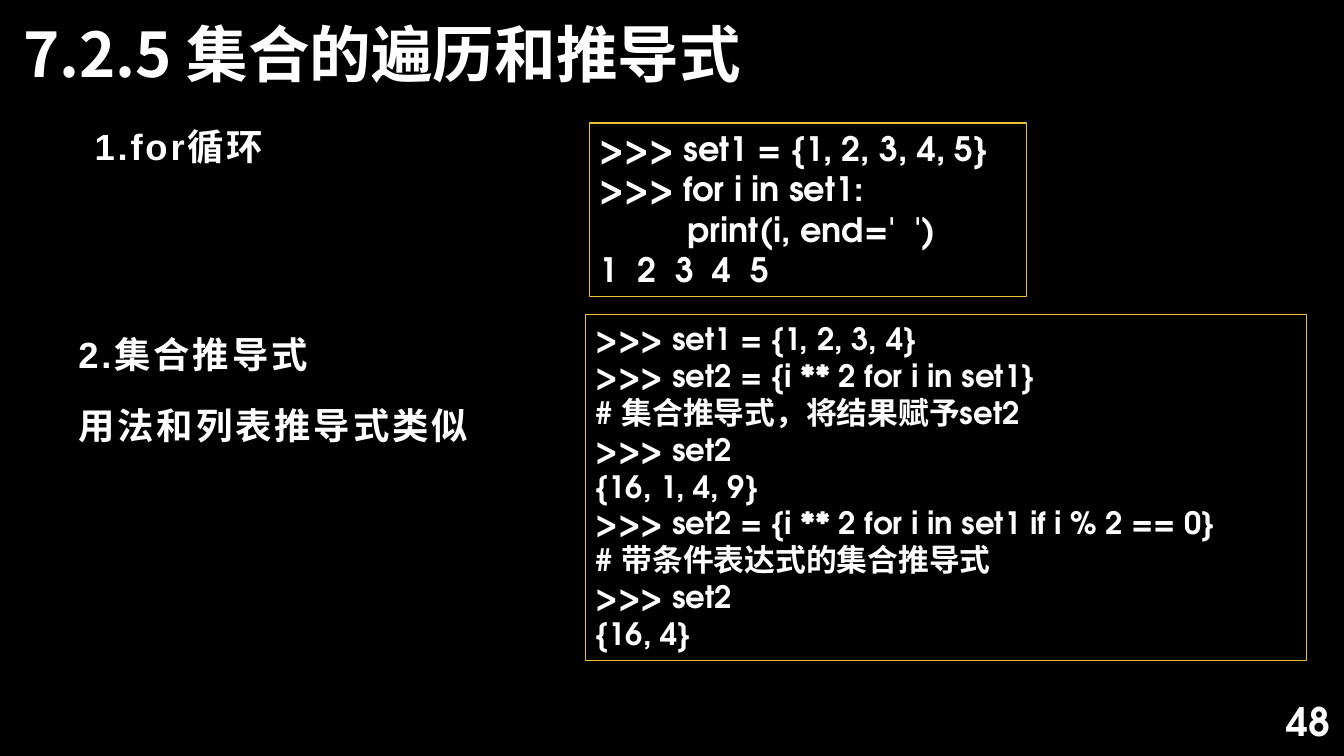
from dataclasses import dataclass

from lxml import etree
from pptx import Presentation
from pptx.dml.color import RGBColor
from pptx.enum import shapes, text
from pptx.oxml import ns
from pptx.util import Inches, Pt

COLORS = {"background": "000000", "text": "FFFFFF", "border": "E9BF35"}
HEADING_FONT = "Noto Sans CJK SC"
BODY_FONT = "Arial"
CODE_FONT = "TeX Gyre Adventor"


@dataclass(frozen=True)
class TextBlock:
    left: float
    top: float
    width: float
    height: float
    lines: tuple[str, ...]
    size: float
    font: str
    spacing: float = 1.0
    space_after: float = 0
    tracking: float = 0
    anchor: text.MSO_ANCHOR = text.MSO_ANCHOR.TOP
    align: text.PP_ALIGN = text.PP_ALIGN.LEFT


TITLE = TextBlock(0.13, 0.13, 9.43, 0.88, ("7.2.5 集合的遍历和推导式",), 44, HEADING_FONT,
                  spacing=0.9, anchor=text.MSO_ANCHOR.MIDDLE)

LABELS = (
    TextBlock(0.84, 1.23, 4.8, 1.18, ("1.for循环",), 26, BODY_FONT, spacing=0.9, tracking=2),
    TextBlock(0.68, 3.12, 4.8, 1.5, ("2.集合推导式", "用法和列表推导式类似"), 26, BODY_FONT,
              spacing=1.3, space_after=10, tracking=2),
    TextBlock(10.29, 6.95, 3, 0.4, ("48",), 28, CODE_FONT,
              anchor=text.MSO_ANCHOR.MIDDLE, align=text.PP_ALIGN.RIGHT),
)

CODE_BOXES = (
    TextBlock(5.85, 1.22, 4.33, 1.72, (
        ">>> set1 = {1, 2, 3, 4, 5}",
        ">>> for i in set1:",
        "\t    print(i, end='  ')",
        "1  2  3  4  5",
    ), 24, CODE_FONT),
    TextBlock(5.81, 3.12, 7.15, 3.43, (
        ">>> set1 = {1, 2, 3, 4}",
        ">>> set2 = {i ** 2 for i in set1}",
        "# 集合推导式，将结果赋予set2",
        ">>> set2",
        "{16, 1, 4, 9}",
        ">>> set2 = {i ** 2 for i in set1 if i % 2 == 0}",
        "# 带条件表达式的集合推导式",
        ">>> set2",
        "{16, 4}",
    ), 22, CODE_FONT),
)


def color(name: str) -> RGBColor:
    return RGBColor.from_string(COLORS[name])


def bounds(block: TextBlock) -> tuple:
    return tuple(Inches(value) for value in (block.left, block.top, block.width, block.height))


def write_text(shape, block: TextBlock) -> None:
    frame = shape.text_frame
    frame.text = "\n".join(block.lines)
    frame.word_wrap = True
    frame.auto_size = text.MSO_AUTO_SIZE.NONE
    frame.vertical_anchor = block.anchor
    for paragraph in frame.paragraphs:
        paragraph.alignment = block.align
        paragraph.line_spacing = block.spacing
        paragraph.space_before = Pt(0)
        paragraph.space_after = Pt(block.space_after)
        font = paragraph.font
        font.size = Pt(block.size)
        font.bold = True
        font.color.rgb = color("text")
        font.name = block.font
        properties = paragraph._p.pPr.find(ns.qn("a:defRPr"))
        etree.SubElement(properties, ns.qn("a:ea")).set("typeface", HEADING_FONT)
        if block.tracking:
            properties.set("spc", str(int(block.tracking * 100)))


def add_title(slide, block: TextBlock) -> None:
    title = slide.shapes.title
    title.left, title.top, title.width, title.height = bounds(block)
    write_text(title, block)


def add_label(slide, block: TextBlock) -> None:
    write_text(slide.shapes.add_textbox(*bounds(block)), block)


def add_code_box(slide, block: TextBlock) -> None:
    shape = slide.shapes.add_shape(shapes.MSO_SHAPE.RECTANGLE, *bounds(block))
    shape.shadow.inherit = False
    shape.fill.background()
    shape.line.color.rgb = color("border")
    shape.line.width = Pt(0.75)
    write_text(shape, block)


def main() -> None:
    presentation = Presentation()
    presentation.slide_width = Inches(13.33)
    presentation.slide_height = Inches(7.5)
    slide = presentation.slides.add_slide(presentation.slide_layouts[5])
    slide.background.fill.solid()
    slide.background.fill.fore_color.rgb = color("background")
    add_title(slide, TITLE)
    for block in CODE_BOXES:
        add_code_box(slide, block)
    for block in LABELS:
        add_label(slide, block)
    presentation.save("out.pptx")


if __name__ == "__main__":
    main()
